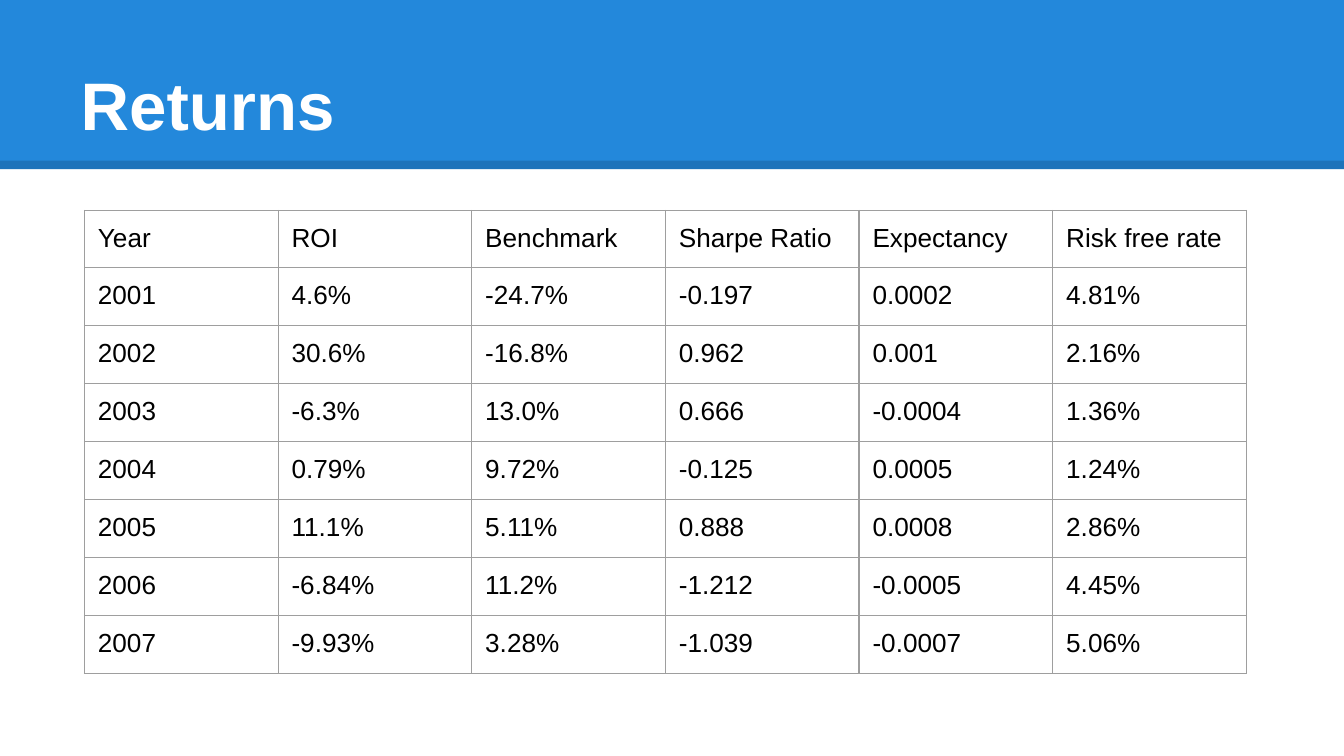
from dataclasses import dataclass
from lxml import etree
from pptx import Presentation
from pptx.dml.color import RGBColor
from pptx.enum import shapes, text
from pptx.oxml import ns
from pptx.util import Pt


@dataclass(frozen=True)
class Theme:
    """Colours, type sizes and line widths of the deck."""
    font: str = "Arial"
    blue: str = "2388DB"
    white: str = "FFFFFF"
    black: str = "000000"
    grey: str = "9E9E9E"
    title: float = 36
    body: float = 14
    rule: float = 4.5
    grid: float = 0.75
    inset: float = 7.2


THEME = Theme()
HEAD = ["Year", "ROI", "Benchmark", "Sharpe Ratio", "Expectancy", "Risk free rate"]
ROWS = [
    ["2001", "4.6%", "-24.7%", "-0.197", "0.0002", "4.81%"],
    ["2002", "30.6%", "-16.8%", "0.962", "0.001", "2.16%"],
    ["2003", "-6.3%", "13.0%", "0.666", "-0.0004", "1.36%"],
    ["2004", "0.79%", "9.72%", "-0.125", "0.0005", "1.24%"],
    ["2005", "11.1%", "5.11%", "0.888", "0.0008", "2.86%"],
    ["2006", "-6.84%", "11.2%", "-1.212", "-0.0005", "4.45%"],
    ["2007", "-9.93%", "3.28%", "-1.039", "-0.0007", "5.06%"],
]


def write(frame, words, size=THEME.body, color=THEME.black, bold=False):
    """Put formatted, left-aligned words in a text frame."""
    para = frame.paragraphs[0]
    para.alignment = text.PP_ALIGN.LEFT
    run = para.add_run()
    run.text = words
    font = run.font
    font.name, font.size, font.bold = THEME.font, Pt(size), bold
    font.color.rgb = RGBColor.from_string(color)


def pad(item):
    """Give a cell or text frame equal insets."""
    item.margin_left = item.margin_right = Pt(THEME.inset)
    item.margin_top = item.margin_bottom = Pt(THEME.inset)


def edge(cell):
    """Draw the four grid lines of a cell."""
    props = cell._tc.get_or_add_tcPr()
    for spot, side in enumerate(("lnL", "lnR", "lnT", "lnB")):
        line = etree.Element(ns.qn(f"a:{side}"), w=str(Pt(THEME.grid)))
        fill = etree.SubElement(line, ns.qn("a:solidFill"))
        etree.SubElement(fill, ns.qn("a:srgbClr"), val=THEME.grey)
        props.insert(spot, line)


def header(slide, words, left, top, width, height):
    """Place the band, its shaded rule and the title."""
    band = slide.shapes.add_shape(
        shapes.MSO_SHAPE.RECTANGLE, Pt(left), Pt(top), Pt(width), Pt(height))
    band.shadow.inherit = False
    band.fill.solid()
    band.fill.fore_color.rgb = RGBColor.from_string(THEME.blue)
    band.line.fill.background()

    level = Pt(top + height - THEME.rule / 2)
    rule = slide.shapes.add_connector(
        shapes.MSO_CONNECTOR.STRAIGHT, Pt(left), level, Pt(left + width), level)
    rule.line.width = Pt(THEME.rule)
    rule.line.color.rgb = RGBColor.from_string(THEME.black)
    props = rule.element.spPr
    tint = props.find(".//" + ns.qn("a:srgbClr"))
    etree.SubElement(tint, ns.qn("a:alpha"), val="15000")
    etree.SubElement(props, ns.qn("a:effectLst"))

    title = slide.shapes.title
    title.left, title.top = Pt(left + 36), Pt(top + 16.5)
    title.width, title.height = Pt(width - 72), Pt(67.7)
    for part in (band, rule):
        title.element.addprevious(part.element)
    frame = title.text_frame
    pad(frame)
    frame.word_wrap = True
    frame.auto_size = text.MSO_AUTO_SIZE.NONE
    frame.vertical_anchor = text.MSO_ANCHOR.BOTTOM
    write(frame, words, size=THEME.title, color=THEME.white, bold=True)


def returns(slide, data, left, top, width, height, first):
    """Place the table with even columns and even rows below the first."""
    table = slide.shapes.add_table(
        len(data), len(data[0]), Pt(left), Pt(top), Pt(width), Pt(height)).table
    table.first_row = table.horz_banding = False
    for col in table.columns:
        col.width = Pt(width / len(data[0]))
    for row in table.rows:
        row.height = Pt((height - first) / (len(data) - 1))
    table.rows[0].height = Pt(first)
    for cell, words in zip(table.iter_cells(), sum(data, [])):
        pad(cell)
        cell.vertical_anchor = text.MSO_ANCHOR.TOP
        cell.fill.background()
        edge(cell)
        write(cell.text_frame, words)


def main():
    """Build and save the slide."""
    deck = Presentation()
    deck.slide_width, deck.slide_height = Pt(720), Pt(405)
    slide = deck.slides.add_slide(deck.slide_layouts[5])
    header(slide, "Returns", 0, 0, 720, 90.6)
    returns(slide, [HEAD] + ROWS, 45.25, 112.75, 622.5, 248.4, 30.4)
    deck.save("out.pptx")


if __name__ == "__main__":
    main()
